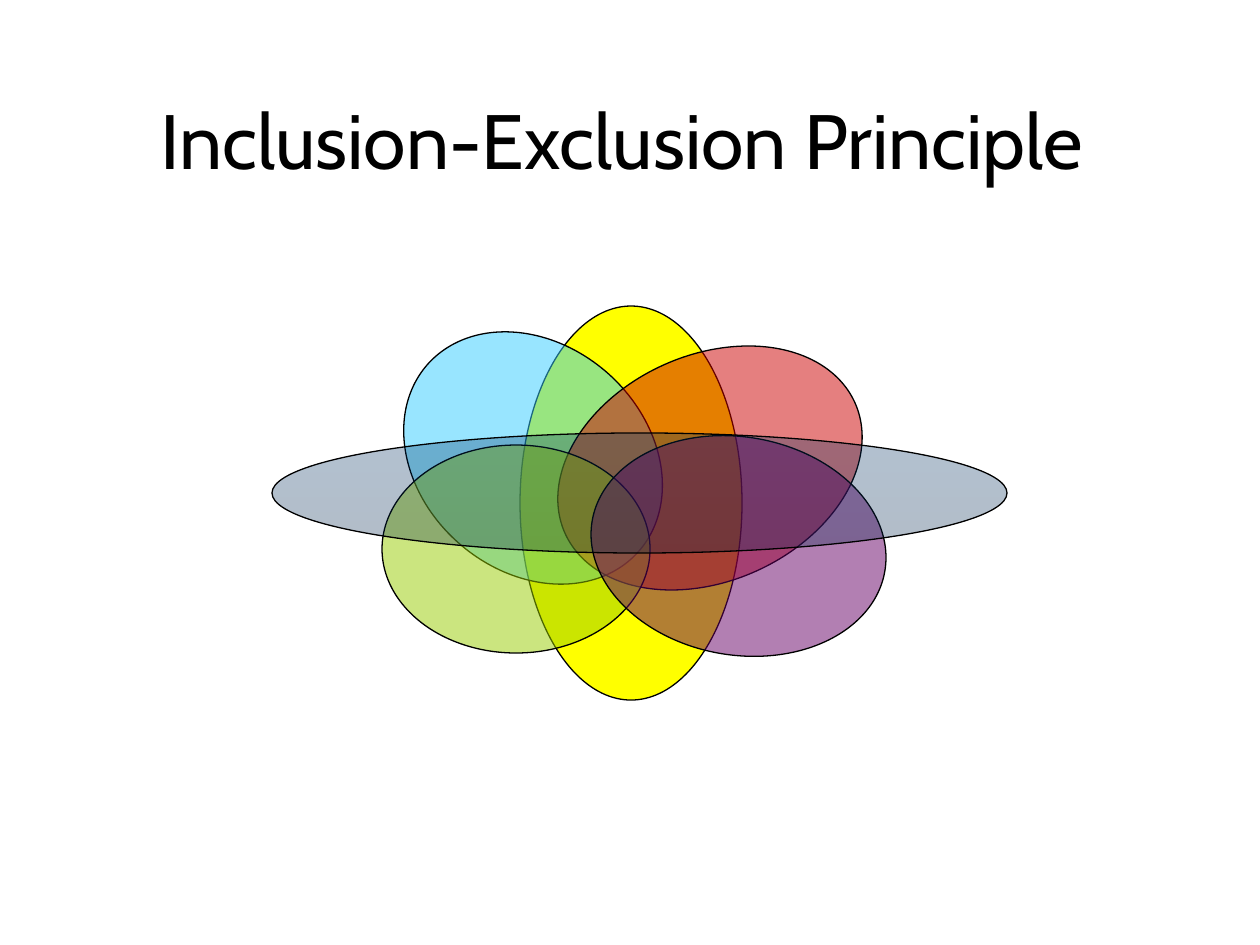
from lxml import etree
from pptx import Presentation
from pptx import util as u
from pptx.dml.color import RGBColor
from pptx.enum import shapes, text
from pptx.oxml.ns import qn

BLACK = RGBColor(0x00, 0x00, 0x00)
YELLOW = RGBColor(0xFF, 0xFF, 0x00)
SKY = RGBColor(0x33, 0xCC, 0xFF)
RED = RGBColor(0xCC, 0x00, 0x00)
GREEN = RGBColor(0x99, 0xCC, 0x00)
PURPLE = RGBColor(0x66, 0x00, 0x66)
NAVY = RGBColor(0x00, 0x33, 0x66)
DEEP_NAVY = RGBColor(0x00, 0x24, 0x49)

SETS = [
    ((520, 306, 222, 394), 0, [YELLOW], 100),
    ((392, 345, 282, 226), 41.7, [SKY], 50),
    ((551, 355, 318, 226), 335.7, [RED], 50),
    ((382, 445, 268, 208), 0, [GREEN], 50),
    ((590, 437, 297, 218), 9.9, [PURPLE], 50),
    ((272, 433, 735, 120), 0, [NAVY, DEEP_NAVY], 30),
]


def px(length):
    return u.Emu(round(length * 914400 / 126))


class VennSlide:
    """Style and current slide of an overlapping-sets diagram."""

    font = "Cabin"
    outline = u.Pt(0.75)

    def __init__(self, deck):
        self.slide = deck.slides.add_slide(deck.slide_layouts[0])
        subtitle = self.slide.placeholders[1].element
        subtitle.getparent().remove(subtitle)

    def title(self, wording, box):
        heading = self.slide.shapes.title
        heading.left, heading.top, heading.width, heading.height = map(px, box)
        frame = heading.text_frame
        frame.text = wording
        frame.vertical_anchor = text.MSO_ANCHOR.MIDDLE
        line = frame.paragraphs[0]
        line.alignment = text.PP_ALIGN.CENTER
        line.font.name = self.font
        line.font.size = u.Pt(44)
        line.font.color.rgb = BLACK

    def ellipse(self, box, rotation, colors, opacity):
        region = self.slide.shapes.add_shape(shapes.MSO_SHAPE.OVAL, *map(px, box))
        region.rotation = rotation
        region.shadow.inherit = False
        fill = region.fill
        if len(colors) > 1:
            fill.gradient()
            fill.gradient_angle = 270
            for stop, color in zip(fill.gradient_stops, colors):
                stop.color.rgb = color
        else:
            fill.solid()
            fill.fore_color.rgb = colors[0]
        if opacity < 100:
            for color in region.element.spPr.iter(qn("a:srgbClr")):
                etree.SubElement(color, qn("a:alpha"), val=str(opacity * 1000))
        region.line.color.rgb = BLACK
        region.line.width = self.outline


def main():
    deck = Presentation()
    deck.slide_width, deck.slide_height = px(1260), px(945)
    venn = VennSlide(deck)
    venn.title("Inclusion-Exclusion Principle", (34, 76, 1176, 126))
    for region in SETS:
        venn.ellipse(*region)
    deck.save("out.pptx")


if __name__ == "__main__":
    main()
